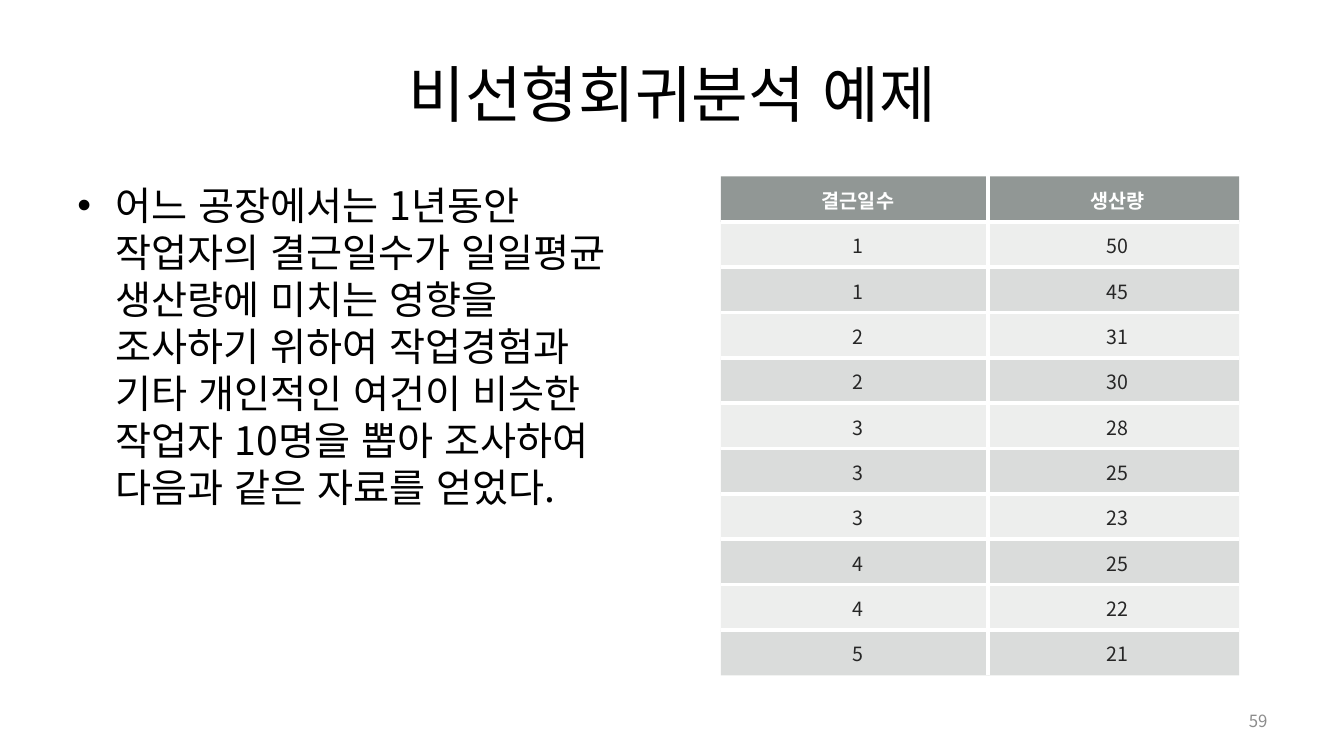
from dataclasses import dataclass

from lxml.etree import SubElement as Sub
from pptx import Presentation
from pptx.dml.color import RGBColor as RGB
from pptx.enum.lang import MSO_LANGUAGE_ID as Lang
from pptx.enum.text import MSO_ANCHOR as Anchor, PP_ALIGN as Align
from pptx.oxml.ns import qn
from pptx.util import Inches, Pt

FONT = "Noto Sans CJK KR"
BLACK = RGB(0x00, 0x00, 0x00)
WHITE = RGB(0xFF, 0xFF, 0xFF)
INK = RGB(0x26, 0x26, 0x26)
GRAY = RGB(0x8C, 0x8C, 0x8C)
HEAD = RGB(0x63, 0x6B, 0x68)
BAND = RGB(0x87, 0x8E, 0x8B)

ROWS = [("결근일수", "생산량"), (1, 50), (1, 45), (2, 31), (2, 30), (3, 28),
        (3, 25), (3, 23), (4, 25), (4, 22), (5, 21)]
WIDTHS = (2.65, 2.49)
ROW_H = 0.45


@dataclass
class Label:
    text: str
    area: tuple[float, float, float, float]
    size: int
    color: RGB = BLACK
    align: Align = Align.LEFT
    anchor: Anchor = Anchor.MIDDLE
    bullet: bool = False


LABELS = [
    Label("비선형회귀분석 예제", (0.67, 0.3, 12, 1.25), 44, align=Align.CENTER),
    Label("어느 공장에서는 1년동안 작업자의 결근일수가 일일평균 생산량에 "
          "미치는 영향을 조사하기 위하여 작업경험과 기타 개인적인 여건이 "
          "비슷한 작업자 10명을 뽑아 조사하여 다음과 같은 자료를 얻었다.",
          (0.67, 1.75, 5.89, 4.95), 28, anchor=Anchor.TOP, bullet=True),
    Label("59", (9.56, 6.95, 3.11, 0.4), 12, GRAY, Align.RIGHT),
]


def write(para, text: str, size: int, color: RGB, align: Align,
          bold: bool = False) -> None:
    para.alignment = align
    run = para.add_run()
    run.text = text
    style = {"name": FONT, "size": Pt(size), "bold": bold,
             "language_id": Lang.KOREAN}
    for key, value in style.items():
        setattr(run.font, key, value)
    run.font.color.rgb = color
    # East Asian typeface
    Sub(run.font._element, qn("a:ea"), typeface=FONT)


def add_label(slide, label: Label) -> None:
    box = slide.shapes.add_textbox(*map(Inches, label.area))
    frame = box.text_frame
    frame.word_wrap = True
    frame.vertical_anchor = label.anchor
    para = frame.paragraphs[0]
    if label.bullet:
        props = para._p.get_or_add_pPr()
        props.set("marL", str(Inches(0.38)))
        props.set("indent", str(Inches(-0.38)))
        Sub(props, qn("a:buFont"), typeface="Arial")
        Sub(props, qn("a:buChar"), char="•")
    write(para, label.text, label.size, label.color, label.align)


def add_edges(cell, inner: dict[str, bool]) -> None:
    props = cell._tc.get_or_add_tcPr()
    for side, shown in inner.items():
        line = Sub(props, qn(f"a:ln{side}"), w=str(Pt(3)))
        if shown:
            fill = Sub(line, qn("a:solidFill"))
            Sub(fill, qn("a:srgbClr"), val=str(WHITE))
        else:
            Sub(line, qn("a:noFill"))


def set_fill(cell, color: RGB, alpha: int) -> None:
    cell.fill.solid()
    cell.fill.fore_color.rgb = color
    tone = cell._tc.tcPr.find(f"{qn('a:solidFill')}/{qn('a:srgbClr')}")
    Sub(tone, qn("a:alpha"), val=str(alpha * 1000))


def add_grid(slide) -> None:
    count, wide = len(ROWS), len(WIDTHS)
    area = (7.15, 1.75, sum(WIDTHS), ROW_H * count)
    table = slide.shapes.add_table(count, wide, *map(Inches, area)).table
    for col, width in zip(table.columns, WIDTHS):
        col.width = Inches(width)
    margins = {"margin_left": 0.16, "margin_right": 0.09,
               "margin_top": 0.09, "margin_bottom": 0.09}
    for r, values in enumerate(ROWS):
        table.rows[r].height = Inches(ROW_H)
        top = r == 0
        for c, value in enumerate(values):
            cell = table.cell(r, c)
            for key, inset in margins.items():
                setattr(cell, key, Inches(inset))
            cell.vertical_anchor = Anchor.MIDDLE
            # Only the lines between cells are drawn
            add_edges(cell, {"L": c > 0, "R": c < wide - 1,
                             "T": r > 0, "B": r < count - 1})
            if top:
                set_fill(cell, HEAD, 70)
            else:
                set_fill(cell, BAND, 15 if r % 2 else 30)
            write(cell.text_frame.paragraphs[0], str(value), 14,
                  WHITE if top else INK, Align.CENTER, bold=top)


def main() -> None:
    deck = Presentation()
    deck.slide_width, deck.slide_height = Inches(13.33), Inches(7.5)
    slide = deck.slides.add_slide(deck.slide_layouts[6])
    # Title, question and page number
    for label in LABELS:
        add_label(slide, label)
    # Data table
    add_grid(slide)
    deck.save("out.pptx")


if __name__ == "__main__":
    main()
